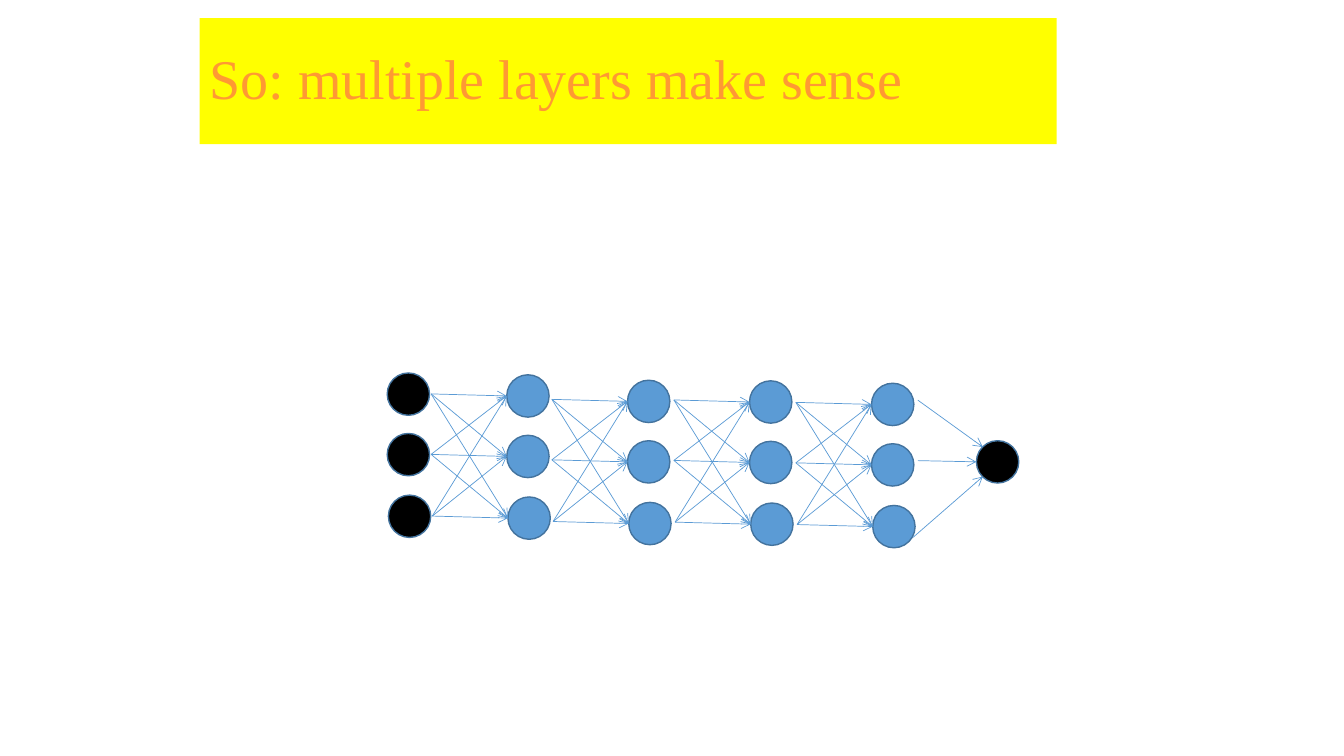
from dataclasses import dataclass
from itertools import product

from lxml import etree
from pptx import Presentation
from pptx import util as u
from pptx.dml.color import RGBColor
from pptx.enum import shapes, text
from pptx.oxml import ns


@dataclass(frozen=True)
class Theme:
    font: str = "Times New Roman"
    title_size: int = 40
    title_ink: str = "FF9933"
    title_fill: str = "FFFF00"
    end_fill: str = "000000"
    hidden: str = "5B9BD5"
    rim: str = "43739E"
    arrow: str = "5B9BD5"
    rim_width: float = 1
    arrow_width: float = 0.5


THEME = Theme()
WIDTH, HEIGHT = u.Inches(13.33), u.Inches(7.5)

# The network's grid: corner of its first node, and the pitch, in inches.
LEFT, TOP = 3.84, 3.7
COL, ROW = 1.21, 0.6
NODE = 0.42

# Left column and top row of each layer, and the shift of each node in it.
LAYERS = [(0, 0), (0.98, 0.03), (1.97, 0.12), (2.97, 0.13), (3.97, 0.17)]
NODES = [(0, 0), (0, 1), (0.01, 2.02)]
OUTPUT = (4.83, 1.12)
STARTS = [(4.35, 0.45), (4.35, 1.45), (4.31, 2.72)]
# Where arrows meet the output node, as shares of its box.
ENDS = [(0.15, 0.15), (0, 0.5), (0.15, 0.85)]
# From a node's left middle back to where its layer's arrows start.
GAP, RISE = 0.75, 0.02


def color(code):
    return RGBColor.from_string(code)


def spot(col, row):
    """Turn a grid position into inches."""
    return LEFT + COL * col, TOP + ROW * row


def add_title(slide, words):
    title = slide.shapes.title
    title.left, title.top = int(WIDTH * 0.15), int(HEIGHT * 0.02)
    title.left, title.top = u.Inches(1.98), u.Inches(0.18)
    title.width, title.height = u.Inches(8.5), u.Inches(1.25)
    title.fill.solid()
    title.fill.fore_color.rgb = color(THEME.title_fill)
    frame = title.text_frame
    frame.text = words
    frame.word_wrap = True
    frame.auto_size = text.MSO_AUTO_SIZE.NONE
    frame.vertical_anchor = text.MSO_ANCHOR.MIDDLE
    line = frame.paragraphs[0]
    line.alignment = text.PP_ALIGN.LEFT
    line.line_spacing = 0.9
    font = line.runs[0].font
    font.name, font.size = THEME.font, u.Pt(THEME.title_size)
    font.color.rgb = color(THEME.title_ink)


def add_node(slide, place, fill):
    x, y = place
    node = slide.shapes.add_shape(
        shapes.MSO_SHAPE.OVAL,
        u.Inches(x), u.Inches(y), u.Inches(NODE), u.Inches(NODE))
    node.shadow.inherit = False
    node.fill.solid()
    node.fill.fore_color.rgb = color(fill)
    node.line.color.rgb = color(THEME.rim)
    node.line.width = u.Pt(THEME.rim_width)


def add_arrow(slide, start, end):
    arrow = slide.shapes.add_connector(
        shapes.MSO_CONNECTOR.STRAIGHT, *map(u.Inches, (*start, *end)))
    arrow.line.color.rgb = color(THEME.arrow)
    arrow.line.width = u.Pt(THEME.arrow_width)
    etree.SubElement(arrow.line._get_or_add_ln(), ns.qn("a:tailEnd"),
                     type="arrow")
    etree.SubElement(arrow._element.spPr, ns.qn("a:effectLst"))


def add_layer(slide, layer, fill):
    """Draw a column of nodes and return their places."""
    places = [spot(layer[0] + col, layer[1] + row) for col, row in NODES]
    for place in places:
        add_node(slide, place, fill)
    return places


def add_mesh(slide, places):
    """Draw arrows from each node of the layer before to each node here."""
    ends = [(x, y + NODE / 2) for x, y in places]
    starts = [(x - GAP, y - RISE) for x, y in ends]
    for start, end in product(starts, ends):
        add_arrow(slide, start, end)


def add_output(slide):
    x, y = spot(*OUTPUT)
    add_node(slide, (x, y), THEME.end_fill)
    for start, (across, down) in zip(STARTS, ENDS):
        add_arrow(slide, spot(*start), (x + NODE * across, y + NODE * down))


def main():
    deck = Presentation()
    deck.slide_width, deck.slide_height = WIDTH, HEIGHT
    slide = deck.slides.add_slide(deck.slide_layouts[5])
    add_title(slide, "So: multiple layers make sense")
    add_layer(slide, LAYERS[0], THEME.end_fill)
    for layer in LAYERS[1:]:
        add_mesh(slide, add_layer(slide, layer, THEME.hidden))
    add_output(slide)
    deck.save("out.pptx")


if __name__ == "__main__":
    main()
